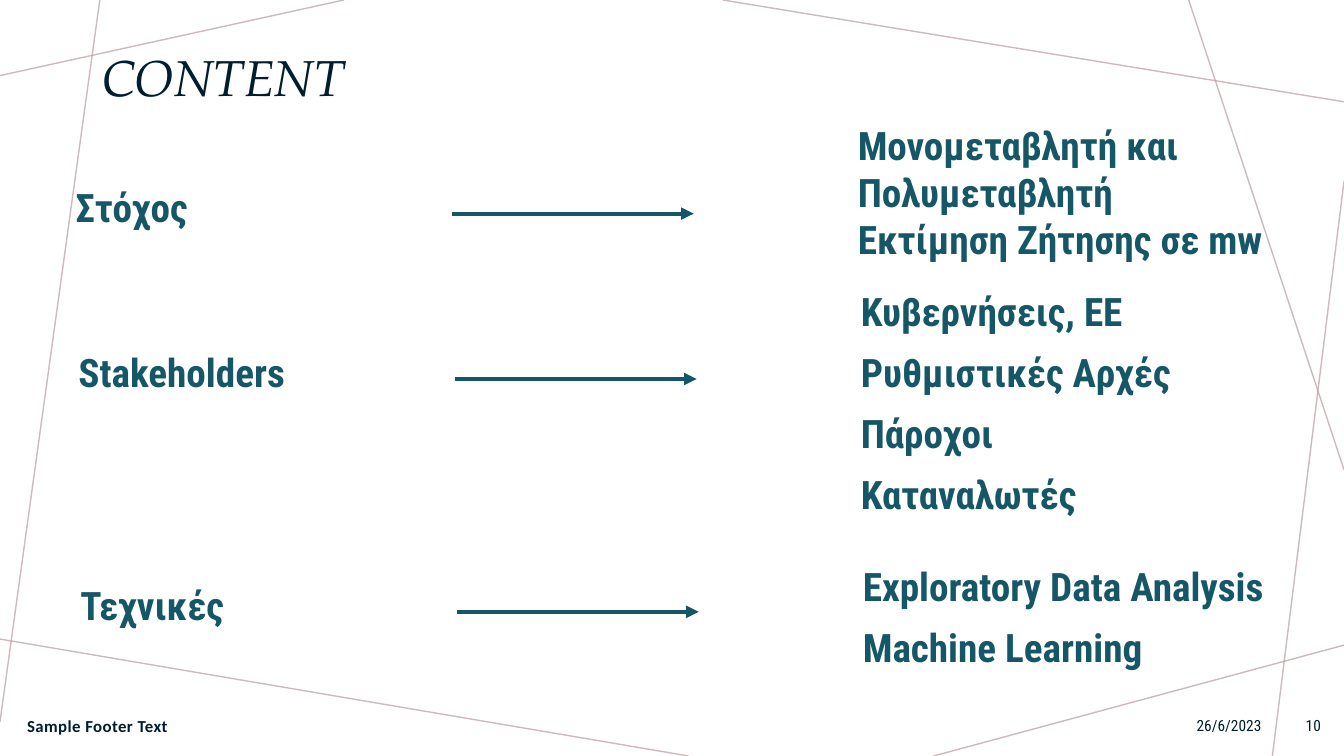
"""Build the CONTENT slide: three topics, each with an arrow to its details."""
from lxml.etree import SubElement
from pptx import Presentation
from pptx.dml.color import RGBColor
from pptx.enum.shapes import MSO_CONNECTOR
from pptx.enum.text import MSO_ANCHOR, MSO_AUTO_SIZE, PP_ALIGN
from pptx.oxml.ns import qn
from pptx.util import Inches, Pt

WIDTH, HEIGHT = 13.33, 7.5
COLOURS = {"ink": "001E2E", "teal": "155767", "mauve": "BA9CA0", "white": "FFFFFF"}
STYLES = {
    "title": {"name": "TeX Gyre Pagella", "size": Pt(36), "italic": True, "bold": False},
    "topic": {"name": "Roboto Condensed", "size": Pt(28), "bold": True},
    "footer": {"name": "Calibri", "size": Pt(12), "bold": True},
    "small": {"name": "Roboto Condensed", "size": Pt(11)},
}
TITLE = "CONTENT"
TOPICS = [
    {"label": "Στόχος", "left": 0.65, "top": 1.77, "detail_top": 1.15, "detail_height": 1.65,
     "details": ["Μονομεταβλητή και Πολυμεταβλητή Εκτίμηση Ζήτησης σε mw"]},
    {"label": "Stakeholders", "left": 0.68, "top": 3.41, "detail_top": 2.8, "detail_height": 2.35,
     "details": ["Κυβερνήσεις, ΕΕ", "Ρυθμιστικές Αρχές", "Πάροχοι", "Καταναλωτές"]},
    {"label": "Τεχνικές", "left": 0.7, "top": 5.72, "detail_top": 5.53, "detail_height": 1.06,
     "details": ["Exploratory Data Analysis", "Machine Learning"]},
]
FOOTERS = [
    ("Sample Footer Text", 0.17, 4.92, "footer", PP_ALIGN.LEFT),
    ("26/6/2023", 8.02, 4.59, "small", PP_ALIGN.RIGHT),
    ("10", 12.69, 0.51, "small", PP_ALIGN.RIGHT),
]
BACKDROP = [
    ((3.41, 0), (0, 0.75)),
    ((0.99, 0), (0, 7.16)),
    ((6.83, HEIGHT), (0, 6.34)),
    ((WIDTH, 6.4), (9.26, HEIGHT)),
    ((WIDTH, 1.8), (12.62, HEIGHT)),
    ((WIDTH, 4.66), (11.79, 0)),
    ((WIDTH, 1.01), (7.17, 0)),
]
LABEL_WIDTH, LABEL_HEIGHT, DETAIL_WIDTH = 3.64, 0.68, 4.27
ARROW_SHIFT, ARROW_LENGTH, DETAIL_SHIFT = 3.83, 2.4, 7.76
FOOTER_TOP, FOOTER_HEIGHT = 7, 0.4


def colour(name):
    return RGBColor.from_string(COLOURS[name])


def write(frame, lines, style, ink, align=PP_ALIGN.LEFT, anchor=MSO_ANCHOR.TOP):
    settings = {"word_wrap": True, "auto_size": MSO_AUTO_SIZE.NONE, "vertical_anchor": anchor}
    for key, value in settings.items():
        setattr(frame, key, value)
    for index, line in enumerate(lines):
        para = frame.add_paragraph() if index else frame.paragraphs[0]
        para.alignment = align
        para.space_before = Pt(10 if index else 0)
        span = para.add_run()
        span.text = line
        for key, value in STYLES[style].items():
            setattr(span.font, key, value)
        span.font.color.rgb = colour(ink)


def add_text(page, area, *content):
    box = page.shapes.add_textbox(*map(Inches, area))
    write(box.text_frame, *content)
    return box


def add_line(page, start, end, ink, width):
    line = page.shapes.add_connector(MSO_CONNECTOR.STRAIGHT, *map(Inches, start + end))
    line.line.color.rgb = colour(ink)
    line.line.width = Pt(width)
    properties = line._element.spPr
    SubElement(properties, qn("a:effectLst"))
    return properties.find(qn("a:ln"))


def main():
    deck = Presentation()
    deck.slide_width, deck.slide_height = Inches(WIDTH), Inches(HEIGHT)
    page = deck.slides.add_slide(deck.slide_layouts[5])
    page.background.fill.solid()
    page.background.fill.fore_color.rgb = colour("white")

    for start, end in BACKDROP:
        stroke = add_line(page, start, end, "mauve", 1)
        SubElement(stroke.find(".//" + qn("a:srgbClr")), qn("a:alpha"), val="70000")

    title = page.shapes.title
    place = {"left": 0.92, "top": 0.18, "width": 11.5, "height": 1.23}
    for key, value in place.items():
        setattr(title, key, Inches(value))
    write(title.text_frame, [TITLE], "title", "ink", PP_ALIGN.LEFT, MSO_ANCHOR.MIDDLE)
    title.text_frame.paragraphs[0].line_spacing = 0.9

    for topic in TOPICS:
        left, top = topic["left"], topic["top"]
        add_text(page, (left, top, LABEL_WIDTH, LABEL_HEIGHT), [topic["label"]], "topic", "teal")
        area = (left + DETAIL_SHIFT, topic["detail_top"], DETAIL_WIDTH, topic["detail_height"])
        add_text(page, area, topic["details"], "topic", "teal")
        start = (left + ARROW_SHIFT, top + 0.35)
        stroke = add_line(page, start, (start[0] + ARROW_LENGTH, start[1]), "teal", 3)
        SubElement(stroke, qn("a:tailEnd"), type="triangle")

    for text, left, width, style, align in FOOTERS:
        area = (left, FOOTER_TOP, width, FOOTER_HEIGHT)
        box = add_text(page, area, [text], style, "ink", align, MSO_ANCHOR.MIDDLE)
        if style == "footer":
            box.text_frame.paragraphs[0].runs[0].font._element.set("spc", "30")

    deck.save("out.pptx")


if __name__ == "__main__":
    main()
